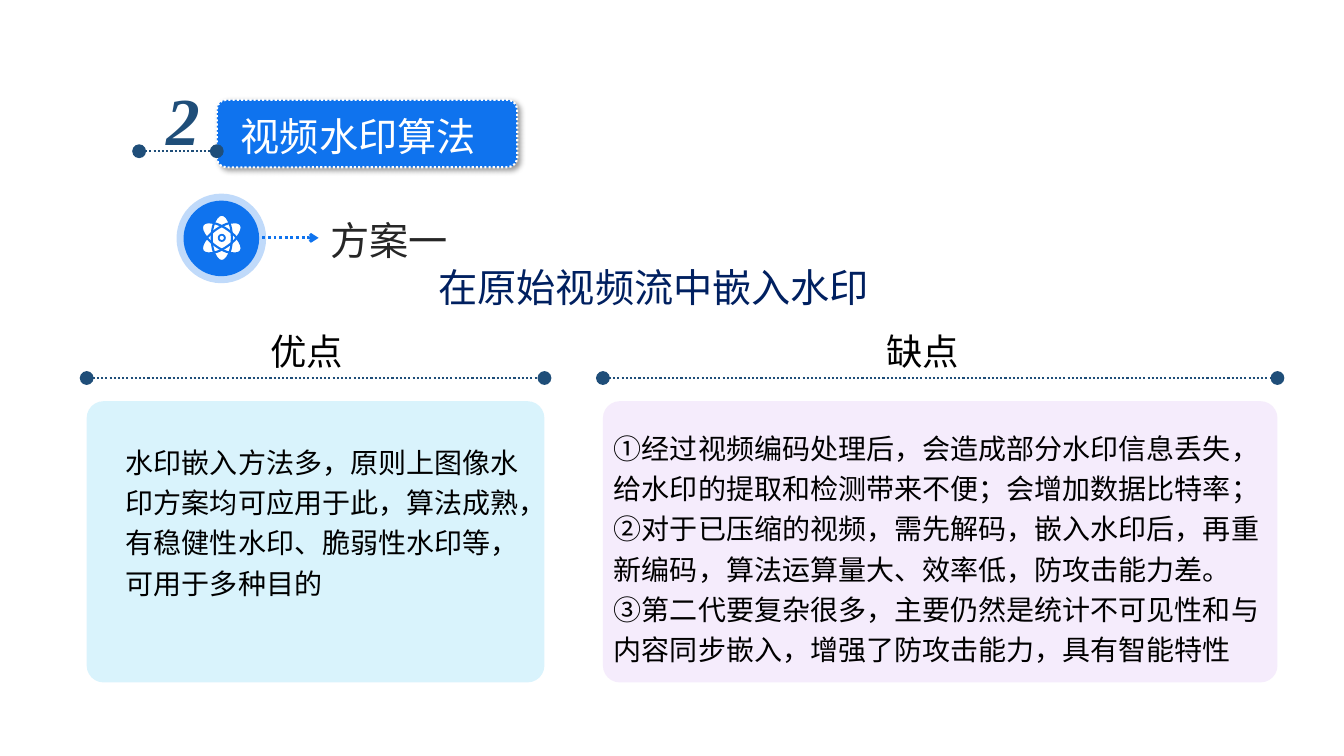
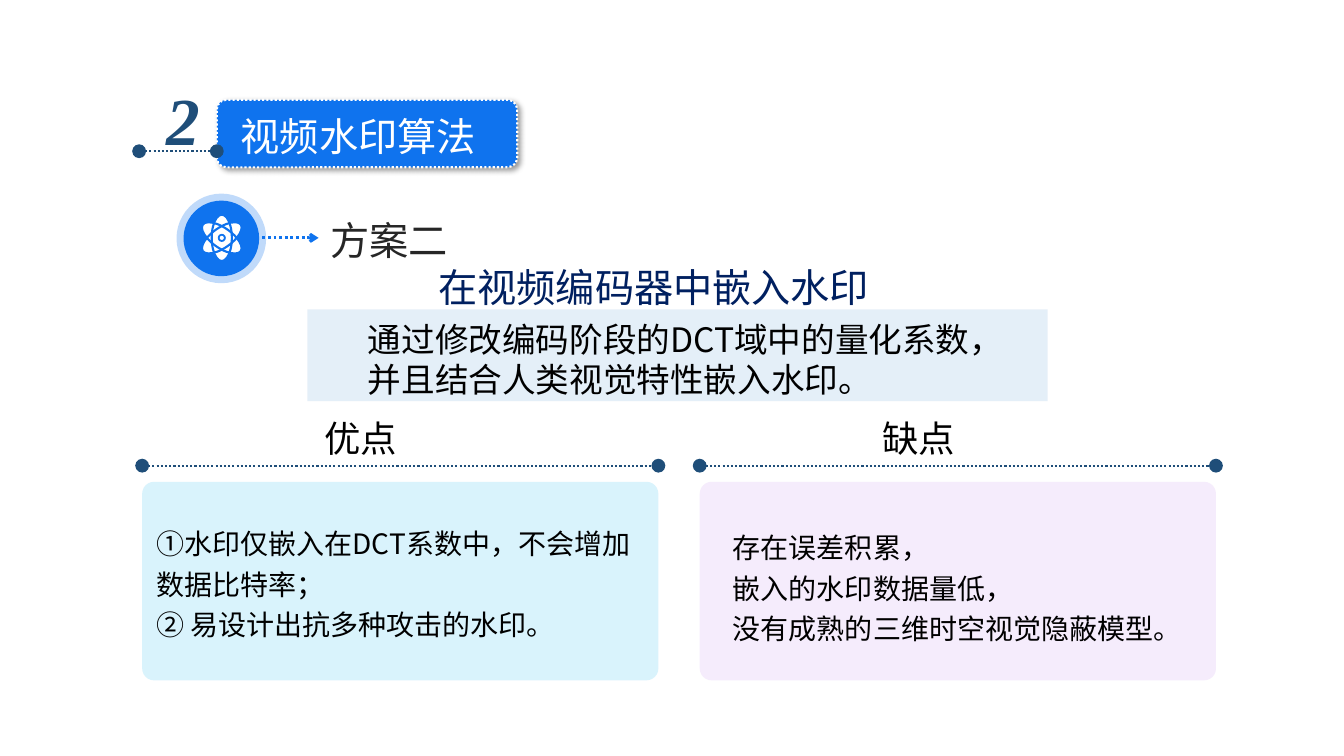
from dataclasses import dataclass

from lxml.etree import SubElement
from pptx import Presentation
from pptx.dml.color import RGBColor
from pptx.enum.dml import MSO_LINE
from pptx.enum.shapes import MSO_CONNECTOR, MSO_SHAPE
from pptx.enum.text import MSO_ANCHOR
from pptx.oxml.ns import qn
from pptx.util import Inches, Pt


@dataclass(frozen=True)
class Theme:
    blue: str = "0F73EE"
    steel: str = "1F4E79"
    navy: str = "002060"
    charcoal: str = "262626"
    black: str = "000000"
    white: str = "FFFFFF"
    band: str = "BDD7EE"
    pros: str = "00B0F0"
    cons: str = "E3C9F7"
    font: str = "Noto Sans CJK SC"
    number_font: str = "Times New Roman"
    number: int = 48
    heading: int = 28
    label: int = 26
    summary: int = 24
    body: int = 20
    line_height: float = 1.2


theme = Theme()

SCHEMES = [
    {
        "name": "方案一",
        "subtitle": "在原始视频流中嵌入水印",
        "summary": [],
        "rule_y": 3.75, "card_top": 3.98, "card_height": 2.79,
        "panels": [
            {"label": "优点", "label_left": 2.58, "colour": theme.pros, "opacity": 15,
             "left": 0.86, "width": 4.54, "text_at": (1.15, 4.26, 4.1, 1.72),
             "text": ["水印嵌入方法多，原则上图像水印方案均可应用于此，算法成熟，"
                      "有稳健性水印、脆弱性水印等，可用于多种目的"]},
            {"label": "缺点", "label_left": 8.69, "colour": theme.cons, "opacity": 34,
             "left": 5.98, "width": 6.69, "text_at": (5.99, 4.12, 6.69, 2.5),
             "text": ["①经过视频编码处理后，会造成部分水印信息丢失，"
                      "给水印的提取和检测带来不便；会增加数据比特率；"
                      "②对于已压缩的视频，需先解码，嵌入水印后，再重新编码，"
                      "算法运算量大、效率低，防攻击能力差。",
                      "③第二代要复杂很多，主要仍然是统计不可见性和与内容同步嵌入，"
                      "增强了防攻击能力，具有智能特性"]},
        ],
    },
    {
        "name": "方案二",
        "subtitle": "在视频编码器中嵌入水印",
        "summary": ["通过修改编码阶段的DCT域中的量化系数，", "并且结合人类视觉特性嵌入水印。"],
        "rule_y": 4.62, "card_top": 4.78, "card_height": 1.97,
        "panels": [
            {"label": "优点", "label_left": 3.12, "colour": theme.pros, "opacity": 15,
             "left": 1.41, "width": 5.12, "text_at": (1.45, 5.07, 5.07, 1.31),
             "text": ["①水印仅嵌入在DCT系数中，不会增加数据比特率；",
                      "② 易设计出抗多种攻击的水印。"]},
            {"label": "缺点", "label_left": 8.65, "colour": theme.cons, "opacity": 34,
             "left": 6.94, "width": 5.12, "text_at": (7.17, 5.11, 4.74, 1.31),
             "text": ["存在误差积累，", "嵌入的水印数据量低，", "没有成熟的三维时空视觉隐蔽模型。"]},
        ],
    },
]


def add_shape(slide, kind, box, fill=None, opacity=100, line=None, line_width=1.5):
    """Add a preset shape; opacity is a percentage and applies to the fill."""
    shape = slide.shapes.add_shape(kind, *(Inches(length) for length in box))
    shape.shadow.inherit = False
    if fill:
        shape.fill.solid()
        shape.fill.fore_color.rgb = RGBColor.from_string(fill)
        if opacity < 100:
            colour = shape._element.spPr.find(qn("a:solidFill")).find(qn("a:srgbClr"))
            SubElement(colour, qn("a:alpha"), val=str(opacity * 1000))
    else:
        shape.fill.background()
    if line:
        shape.line.color.rgb = RGBColor.from_string(line)
        shape.line.width = Pt(line_width)
    else:
        shape.line.fill.background()
    return shape


def add_text(slide, box, lines, size, colour, spacing=1.0, indent=0, font=theme.font):
    """Add a text box with one paragraph per line and return its runs."""
    shape = slide.shapes.add_textbox(*(Inches(length) for length in box))
    frame = shape.text_frame
    frame.word_wrap = True
    frame.vertical_anchor = MSO_ANCHOR.TOP
    if font == theme.font:
        frame.margin_top, frame.margin_bottom = Inches(0.09), Inches(0.01)
    runs = []
    for index, line in enumerate(lines):
        paragraph = frame.paragraphs[0] if index == 0 else frame.add_paragraph()
        if font == theme.font:
            paragraph.line_spacing = Pt(round(size * theme.line_height * spacing, 1))
        if indent:
            properties = paragraph._p.get_or_add_pPr()
            properties.set("marL", str(Inches(indent)))
            properties.set("indent", "0")
        run = paragraph.add_run()
        run.text = line
        run.font.size = Pt(size)
        run.font.name = font
        run.font.color.rgb = RGBColor.from_string(colour)
        SubElement(run._r.get_or_add_rPr(), qn("a:ea"), typeface=font)
        runs.append(run)
    return runs


presentation = Presentation()
presentation.slide_width = Inches(13.33)
presentation.slide_height = Inches(7.5)

for scheme in SCHEMES:
    slide = presentation.slides.add_slide(presentation.slide_layouts[6])

    # Section banner
    banner = add_shape(slide, MSO_SHAPE.ROUNDED_RECTANGLE, (2.15, 0.99, 2.98, 0.67),
                       theme.blue, line=theme.white)
    banner.adjustments[0] = 0.14
    banner.line.dash_style = MSO_LINE.ROUND_DOT
    shadow = SubElement(banner._element.spPr.find(qn("a:effectLst")), qn("a:outerShdw"),
                        blurRad=str(Pt(4)), dist=str(Pt(3)), dir=str(45 * 60000),
                        algn="tl", rotWithShape="0")
    SubElement(SubElement(shadow, qn("a:srgbClr"), val=theme.black),
               qn("a:alpha"), val="40000")
    add_text(slide, (2.29, 1.07, 2.56, 0.53), ["视频水印算法"],
             theme.heading, theme.white, spacing=0.9)
    number = add_text(slide, (1.55, 0.73, 0.54, 0.91), ["2"], theme.number,
                      theme.steel, font=theme.number_font)[0]
    number.font.bold = number.font.italic = True

    # Atom badge
    centre_x, centre_y = 2.2, 2.36
    badge = add_shape(slide, MSO_SHAPE.OVAL, (1.82, 1.99, 0.75, 0.75),
                      theme.blue, line=theme.blue, line_width=10)
    badge_colour = badge.line._ln.find(qn("a:solidFill")).find(qn("a:srgbClr"))
    SubElement(badge_colour, qn("a:alpha"), val="25000")
    orbit_box = (centre_x - 0.1, centre_y - 0.23, 0.2, 0.46)
    for style in ({"fill": theme.white}, {"line": theme.blue}):
        for angle in (0, 55, -55):
            add_shape(slide, MSO_SHAPE.OVAL, orbit_box, **style).rotation = angle
    for diameter, colour in ((0.08, theme.blue), (0.04, theme.white)):
        add_shape(slide, MSO_SHAPE.OVAL,
                  (centre_x - diameter / 2, centre_y - diameter / 2, diameter, diameter),
                  colour)

    # Headings
    add_text(slide, (3.18, 2.06, 1.38, 0.57), [scheme["name"]],
             theme.heading, theme.charcoal)
    add_text(slide, (4.25, 2.52, 4.52, 0.57), [scheme["subtitle"]],
             theme.heading, theme.navy)
    if scheme["summary"]:
        band_box = (3.05, 3.07, 7.34, 0.91)
        add_shape(slide, MSO_SHAPE.RECTANGLE, band_box, theme.band, opacity=40)
        add_text(slide, band_box, scheme["summary"], theme.summary, theme.black, indent=0.5)

    # Pros and cons
    rule_y = scheme["rule_y"]
    for panel in scheme["panels"]:
        card = add_shape(slide, MSO_SHAPE.ROUNDED_RECTANGLE,
                         (panel["left"], scheme["card_top"], panel["width"],
                          scheme["card_height"]),
                         panel["colour"], panel["opacity"])
        card.adjustments[0] = 0.06
        add_text(slide, panel["text_at"], panel["text"], theme.body, theme.black, spacing=1.2)
        add_text(slide, (panel["label_left"], rule_y - 0.58, 2.73, 0.54),
                 [panel["label"]], theme.label, theme.black)

    # Dotted lines: start, end, height, colour, width, line ends
    oval_ends = {"headEnd": ("oval", "lg"), "tailEnd": ("oval", "lg")}
    dotted_lines = [
        (1.38, 2.15, 1.5, theme.steel, 1.5, oval_ends),
        (2.49, 3.16, centre_y, theme.blue, 2, {"tailEnd": ("arrow", "med")}),
    ]
    for panel in scheme["panels"]:
        dotted_lines.append((panel["left"], panel["left"] + panel["width"], rule_y,
                             theme.steel, 1.5, oval_ends))
    for start, end, y, colour, width, line_ends in dotted_lines:
        connector = slide.shapes.add_connector(
            MSO_CONNECTOR.STRAIGHT, Inches(start), Inches(y), Inches(end), Inches(y))
        connector.line.color.rgb = RGBColor.from_string(colour)
        connector.line.width = Pt(width)
        connector.line.dash_style = MSO_LINE.ROUND_DOT
        for tag, (kind, size) in line_ends.items():
            SubElement(connector.line._ln, qn(f"a:{tag}"), type=kind, w=size, len=size)
        SubElement(connector._element.spPr, qn("a:effectLst"))

presentation.save("out.pptx")
